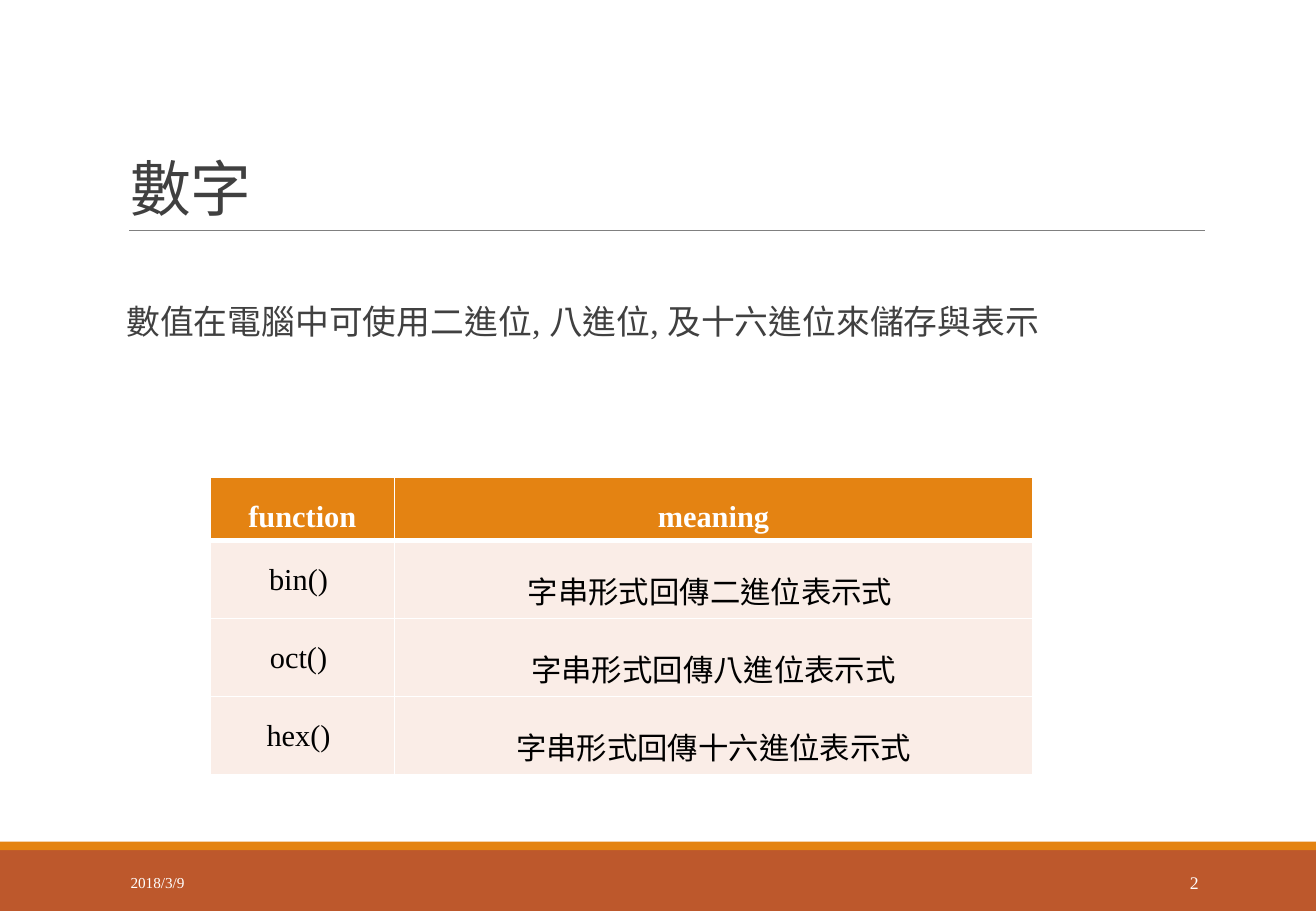
import pptx
import pptx.util
import pptx.dml.color
import pptx.enum.shapes
import pptx.enum.text
import pptx.oxml.ns
from lxml import etree

Cm, Pt = pptx.util.Cm, pptx.util.Pt
ALIGN = pptx.enum.text.PP_ALIGN
ANCHOR = pptx.enum.text.MSO_ANCHOR
ORANGE, RUST, BLUSH = "E48312", "BD582C", "FAEDE7"
WHITE, BLACK, DARK, GRAY = "FFFFFF", "000000", "404040", "808080"


def colour(value):
    return pptx.dml.color.RGBColor.from_string(value)


def apply(target, values):
    for name, value in values.items():
        setattr(target, name, value)


def add_element(parent, tag, **attributes):
    element = etree.SubElement(parent, pptx.oxml.ns.qn(tag))
    for name, value in attributes.items():
        element.set(name, value)
    return element


class SlideBuilder:
    font_name = "Times New Roman"

    def __init__(self, slide):
        self.slide = slide

    def add_text(self, frame, text, size, text_colour, bold=False, tracking=0, **layout):
        """Fill a text frame with one formatted paragraph."""
        paragraph = frame.paragraphs[0]
        apply(paragraph, {"alignment": ALIGN.LEFT, **layout})
        run = paragraph.add_run()
        run.text = text
        apply(run.font, {"name": self.font_name, "size": Pt(size), "bold": bold})
        run.font.color.rgb = colour(text_colour)
        properties = run._r.get_or_add_rPr()
        properties.set("lang", "zh-TW")
        if tracking:
            properties.set("spc", str(tracking))
        return paragraph

    def band(self, left, top, width, height, fill):
        shape = self.slide.shapes.add_shape(
            pptx.enum.shapes.MSO_SHAPE.RECTANGLE, Cm(left), Cm(top), Cm(width), Cm(height))
        shape.shadow.inherit = False
        shape.fill.solid()
        shape.fill.fore_color.rgb = colour(fill)
        shape.line.fill.background()

    def rule(self, left, right, top):
        line = self.slide.shapes.add_connector(
            pptx.enum.shapes.MSO_CONNECTOR.STRAIGHT, Cm(left), Cm(top), Cm(right), Cm(top))
        line.line.color.rgb = colour(GRAY)
        line.line.width = Pt(0.5)
        add_element(line._element.spPr, "a:effectLst")

    def place(self, shape, box, **frame_format):
        names = ("left", "top", "width", "height")
        apply(shape, {name: Cm(length) for name, length in zip(names, box)})
        apply(shape.text_frame, {"word_wrap": True,
                                 "auto_size": pptx.enum.text.MSO_AUTO_SIZE.NONE,
                                 **frame_format})
        return shape.text_frame

    def title(self, text, box):
        frame = self.place(self.slide.shapes.title, box, vertical_anchor=ANCHOR.BOTTOM)
        self.add_text(frame, text, 36, DARK, tracking=-50, line_spacing=0.85)

    def body(self, text, box):
        frame = self.place(self.slide.placeholders[1], box, margin_left=0, margin_right=0,
                           vertical_anchor=ANCHOR.TOP)
        paragraph = self.add_text(frame, text, 20, DARK, line_spacing=0.9,
                                  space_before=Pt(0), space_after=Pt(2))
        properties = paragraph._p.get_or_add_pPr()
        properties.set("marL", "0")
        properties.set("indent", "0")
        add_element(properties, "a:buNone")

    def label(self, text, box, size, alignment):
        shape = self.slide.shapes.add_textbox(0, 0, 0, 0)
        frame = self.place(shape, box, vertical_anchor=ANCHOR.MIDDLE)
        self.add_text(frame, text, size, WHITE, alignment=alignment)

    def cell(self, cell, text, fill, text_colour, bold, top_width, bottom_width):
        properties = cell._tc.get_or_add_tcPr()
        for side, width in (("L", 1), ("R", 1), ("T", top_width), ("B", bottom_width)):
            border = add_element(properties, f"a:ln{side}", w=str(int(Pt(width))))
            add_element(add_element(border, "a:solidFill"), "a:srgbClr", val=WHITE)
        cell.fill.solid()
        cell.fill.fore_color.rgb = colour(fill)
        self.add_text(cell.text_frame, text, 18, text_colour, bold, alignment=ALIGN.CENTER,
                      line_spacing=1.5, space_after=Pt(8))

    def table(self, rows, left, top, widths, heights):
        table = self.slide.shapes.add_table(
            len(rows), len(widths), Cm(left), Cm(top), Cm(sum(widths)), Cm(sum(heights))).table
        for column, width in zip(table.columns, widths):
            column.width = Cm(width)
        for index, (texts, height) in enumerate(zip(rows, heights)):
            table.rows[index].height = Cm(height)
            header = index == 0
            style = (ORANGE, WHITE, True) if header else (BLUSH, BLACK, False)
            borders = (3 if index == 1 else 1, 3 if header else 1)
            for column, text in enumerate(texts):
                self.cell(table.cell(index, column), text, *style, *borders)


def main():
    presentation = pptx.Presentation()
    apply(presentation, {"slide_width": Cm(27.51), "slide_height": Cm(19.05)})
    builder = SlideBuilder(presentation.slides.add_slide(presentation.slide_layouts[1]))

    # Footer bands and title rule
    builder.band(0, 17.78, 27.51, 1.27, RUST)
    builder.band(0, 17.6, 27.51, 0.18, ORANGE)
    builder.rule(2.7, 25.2, 4.82)

    # Title and statement
    builder.title("數字", (2.47, 0.79, 22.7, 4.03))
    builder.body("數值在電腦中可使用二進位, 八進位, 及十六進位來儲存與表示", (2.64, 6.25, 24.18, 2))

    # Date and slide number
    builder.label("2018/3/9", (2.48, 17.94, 5.58, 1.01), 9, ALIGN.LEFT)
    builder.label("2", (22.34, 17.94, 2.97, 1.01), 10.5, ALIGN.RIGHT)

    # Conversion functions
    rows = [
        ("function", "meaning"),
        ("bin() ", "字串形式回傳二進位表示式 "),
        ("oct() ", "字串形式回傳八進位表示式"),
        ("hex() ", "字串形式回傳十六進位表示式"),
    ]
    builder.table(rows, 4.39, 9.99, (3.86, 13.33), (1.28, 1.63, 1.63, 1.63))

    presentation.save("out.pptx")


if __name__ == "__main__":
    main()
